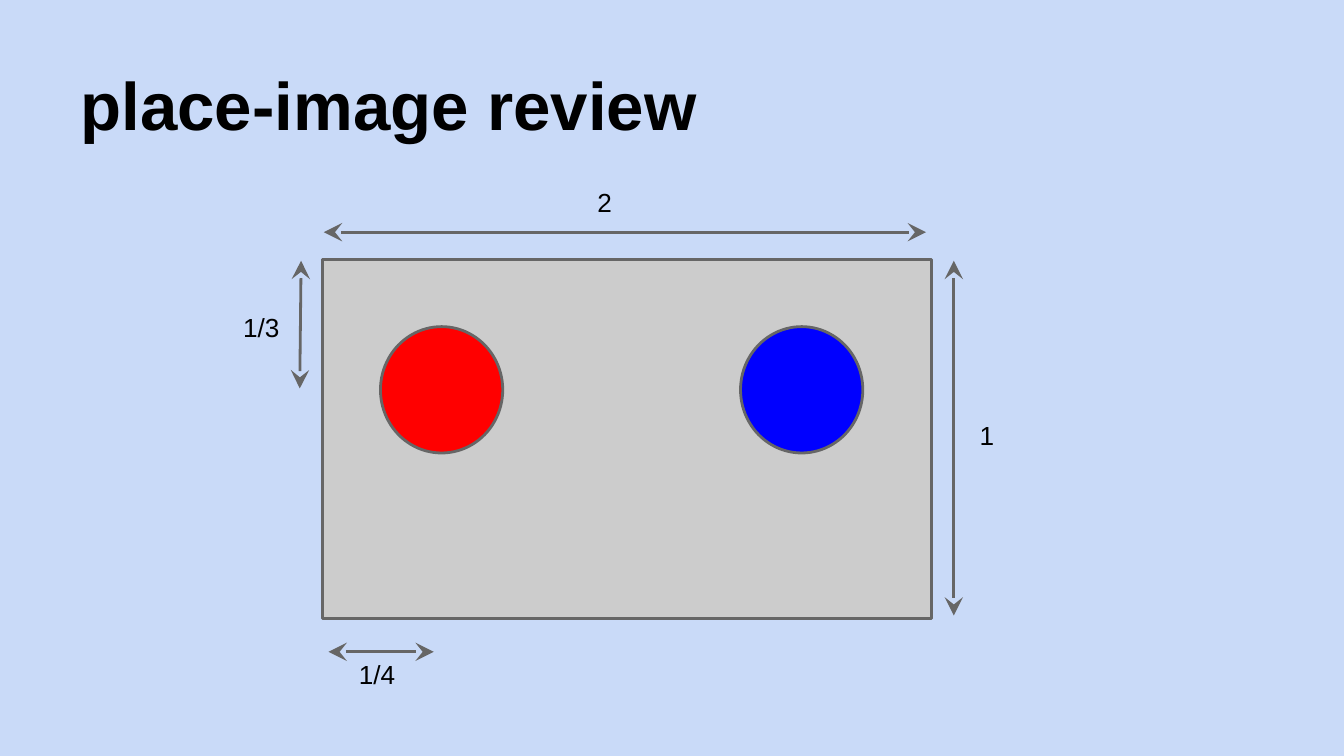
from dataclasses import dataclass
from typing import Any

from lxml.etree import SubElement
from pptx import Presentation
from pptx.dml.color import RGBColor
from pptx.enum.shapes import MSO_CONNECTOR, MSO_SHAPE
from pptx.enum.text import MSO_ANCHOR, MSO_AUTO_SIZE, PP_ALIGN
from pptx.oxml.ns import qn
from pptx.util import Pt


@dataclass(frozen=True)
class Theme:
    back: str = "C9DAF8"
    ink: str = "000000"
    edge: str = "666666"
    scene: str = "CCCCCC"
    red: str = "FF0000"
    blue: str = "0000FF"
    face: str = "Arial"
    title: float = 36
    label: float = 14
    line: float = 1.5
    inset: float = 7.2


@dataclass(frozen=True)
class Box:
    left: float
    top: float
    width: float
    height: float

    def place(self) -> tuple[Pt, Pt, Pt, Pt]:
        return Pt(self.left), Pt(self.top), Pt(self.width), Pt(self.height)


@dataclass(frozen=True)
class Form:
    kind: MSO_SHAPE
    box: Box
    fill: str


@dataclass(frozen=True)
class Span:
    start: tuple[float, float]
    end: tuple[float, float]
    text: str
    box: Box


THEME = Theme()
SCENE = Box(172.8, 139, 326.2, 192.2)
DOT_TOP, DOT_W, DOT_H = 175, 65.5, 67.7
TITLE = Box(36, 16.6, 648, 67.7)

FORMS = [
    Form(MSO_SHAPE.RECTANGLE, SCENE, THEME.scene),
    Form(MSO_SHAPE.OVAL, Box(203.8, DOT_TOP, DOT_W, DOT_H), THEME.red),
    Form(MSO_SHAPE.OVAL, Box(396.7, DOT_TOP, DOT_W, DOT_H), THEME.blue),
]
SPANS = [
    Span((161.3, 139.7), (160.6, 208.1), "1/3", Box(123.1, 159.8, 37.4, 31)),
    Span((173.5, 124.4), (496.1, 124.4), "2", Box(313, 92.9, 19.4, 24.5)),
    Span((511, 139.7), (511, 329.8), "1", Box(517.7, 217.4, 19.4, 24.5)),
    Span((176, 349.2), (232.4, 349.2), "1/4", Box(185.2, 345.6, 37.4, 31)),
]


def apply(item: Any, values: dict[str, Any]) -> None:
    for name, value in values.items():
        setattr(item, name, value)


def paint(fill: Any, color: str) -> None:
    fill.solid()
    fill.fore_color.rgb = RGBColor.from_string(color)


def stroke(line: Any) -> None:
    paint(line.fill, THEME.edge)
    line.width = Pt(THEME.line)


def write(shape: Any, text: str, size: float, bold: bool, anchor: MSO_ANCHOR) -> None:
    frame = shape.text_frame
    sides = ("left", "top", "right", "bottom")
    apply(frame, {f"margin_{side}": Pt(THEME.inset) for side in sides})
    apply(frame, {"word_wrap": True, "auto_size": MSO_AUTO_SIZE.NONE,
                  "vertical_anchor": anchor})
    para = frame.paragraphs[0]
    para.alignment = PP_ALIGN.LEFT
    run = para.add_run()
    run.text = text
    apply(run.font, {"name": THEME.face, "size": Pt(size), "bold": bold})
    run.font.color.rgb = RGBColor.from_string(THEME.ink)


def draw_form(slide: Any, form: Form) -> None:
    shape = slide.shapes.add_shape(form.kind, *form.box.place())
    shape.shadow.inherit = False
    paint(shape.fill, form.fill)
    stroke(shape.line)


def draw_span(slide: Any, span: Span) -> None:
    ends = [Pt(value) for value in span.start + span.end]
    arrow = slide.shapes.add_connector(MSO_CONNECTOR.STRAIGHT, *ends)
    stroke(arrow.line)
    line = arrow.line._get_or_add_ln()
    for tag in ("a:headEnd", "a:tailEnd"):
        SubElement(line, qn(tag), type="stealth", w="lg", len="lg")
    SubElement(arrow._element.spPr, qn("a:effectLst"))
    label = slide.shapes.add_textbox(*span.box.place())
    write(label, span.text, THEME.label, False, MSO_ANCHOR.TOP)


def main() -> None:
    deck = Presentation()
    apply(deck, {"slide_width": Pt(720), "slide_height": Pt(405)})
    slide = deck.slides.add_slide(deck.slide_layouts[5])
    paint(slide.background.fill, THEME.back)
    title = slide.shapes.title
    apply(title, dict(zip(("left", "top", "width", "height"), TITLE.place())))
    write(title, "place-image review", THEME.title, True, MSO_ANCHOR.BOTTOM)
    for form in FORMS:
        draw_form(slide, form)
    for span in SPANS:
        draw_span(slide, span)
    deck.save("out.pptx")


if __name__ == "__main__":
    main()
